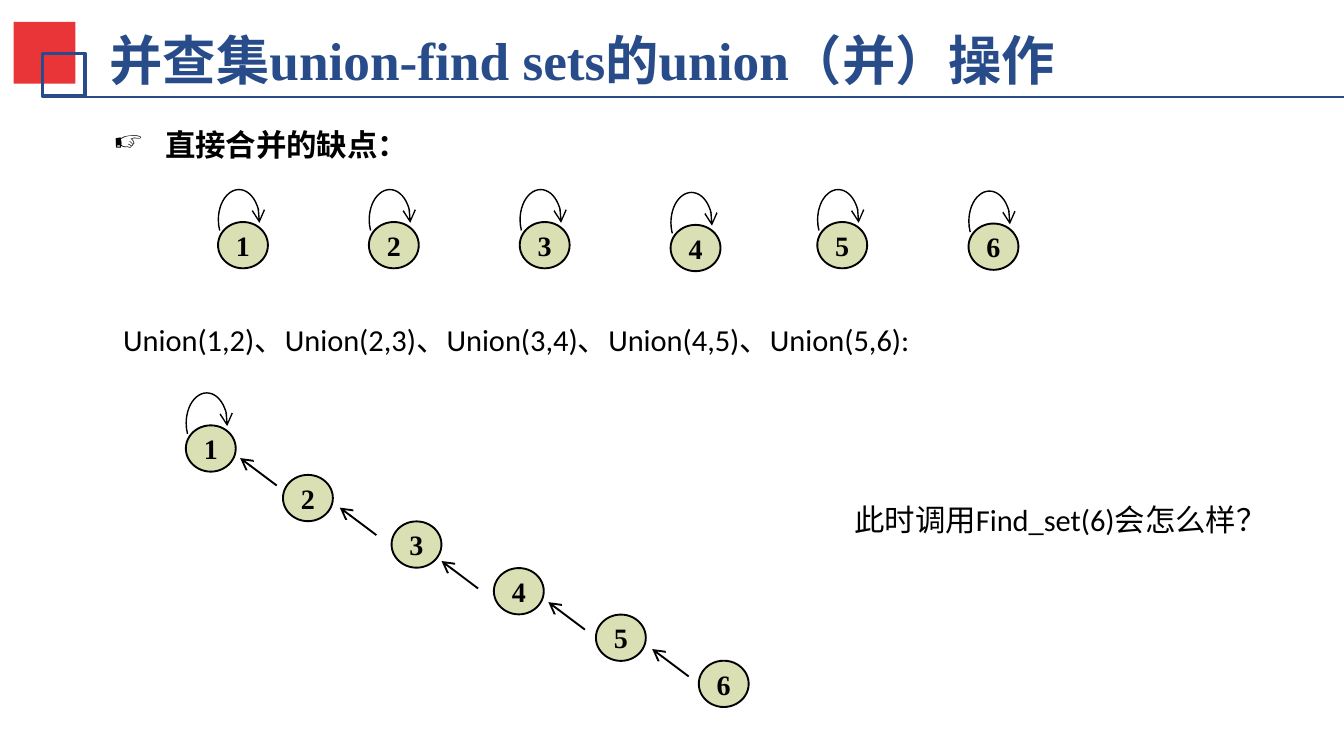
from dataclasses import dataclass

from lxml.etree import SubElement
from pptx import Presentation
from pptx.dml.color import RGBColor
from pptx.enum.shapes import MSO_CONNECTOR, MSO_SHAPE
from pptx.enum.text import MSO_ANCHOR, PP_ALIGN
from pptx.oxml.ns import qn
from pptx.util import Pt


@dataclass(frozen=True)
class Theme:
    blue: str = "284C8A"
    red: str = "E93538"
    black: str = "000000"
    node: str = "DBE0B4"
    title_size: float = 28
    body_size: float = 16
    node_size: float = 14.7
    body_font: str = "Calibri"
    serif_font: str = "Times New Roman"


THEME = Theme()
NODE_W, NODE_H = 26.2, 24.3


def add_text(tf, text, size=THEME.body_size, font=THEME.body_font,
             color=THEME.black, bold=False, align=PP_ALIGN.LEFT,
             anchor=MSO_ANCHOR.TOP, margins=(7.2, 3.6), wrap=True, bullet=None):
    tf.word_wrap = wrap
    tf.vertical_anchor = anchor
    tf.margin_left = tf.margin_right = Pt(margins[0])
    tf.margin_top = tf.margin_bottom = Pt(margins[1])
    p = tf.paragraphs[0]
    p.alignment = align
    if bullet:
        pPr = p._p.get_or_add_pPr()
        pPr.set("marL", str(Pt(27)))
        pPr.set("indent", str(Pt(-27)))
        SubElement(pPr, qn("a:buSzPct"), val="95000")
        SubElement(pPr, qn("a:buChar"), char=bullet)
    r = p.add_run()
    r.text = text
    r.font.size = Pt(size)
    r.font.name = font
    r.font.bold = bold
    r.font.color.rgb = RGBColor.from_string(color)


def add_label(s, box, text, **fmt):
    tb = s.shapes.add_textbox(*map(Pt, box))
    add_text(tb.text_frame, text, **fmt)


def add_shape(s, kind, box, fill=None, line=None, width=1):
    sp = s.shapes.add_shape(kind, *map(Pt, box))
    sp.shadow.inherit = False
    if fill:
        sp.fill.solid()
        sp.fill.fore_color.rgb = RGBColor.from_string(fill)
    else:
        sp.fill.background()
    if line:
        sp.line.color.rgb = RGBColor.from_string(line)
        sp.line.width = Pt(width)
    else:
        sp.line.fill.background()
    return sp


def add_arrowhead(sp, end):
    ln = sp.element.spPr.get_or_add_ln()
    SubElement(ln, qn(f"a:{end}"), type="arrow")


def add_line(s, x1, y1, x2, y2, color, width):
    c = s.shapes.add_connector(MSO_CONNECTOR.STRAIGHT, *map(Pt, (x1, y1, x2, y2)))
    c.line.color.rgb = RGBColor.from_string(color)
    c.line.width = Pt(width)
    SubElement(c.element.spPr, qn("a:effectLst"))
    return c


def add_node(s, x, y, number):
    sp = add_shape(s, MSO_SHAPE.OVAL, (x, y, NODE_W, NODE_H), THEME.node, THEME.black)
    add_text(sp.text_frame, str(number), size=THEME.node_size,
             font=THEME.serif_font, bold=True, align=PP_ALIGN.CENTER,
             anchor=MSO_ANCHOR.MIDDLE, margins=(0, 3.6), wrap=False)


def add_self_loop(s, x, y):
    arc = add_shape(s, MSO_SHAPE.ARC, (x + 0.2, y - 17, 21.6, 31.7),
                    line=THEME.black, width=0.75)
    arc.adjustments[0] = 90.466
    arc.adjustments[1] = 5.185
    add_arrowhead(arc, "tailEnd")


def header(s, x, y, w):
    add_label(s, (x + 52.6, y + 11.5, 556, 39.6),
              "并查集union-find sets的union（并）操作",
              size=THEME.title_size, font=THEME.serif_font, color=THEME.blue,
              bold=True, margins=(5, 2.9))
    add_shape(s, MSO_SHAPE.RECTANGLE, (x + 7.2, y + 11.5, 32.4, 32.4), THEME.red)
    add_shape(s, MSO_SHAPE.RECTANGLE, (x + 22.3, y + 28.1, 22.3, 22.3),
              line=THEME.blue, width=2)
    add_line(s, x + 27.4, y + 51, x + w, y + 51, THEME.blue, 0.75)


def separate_sets(s, x, y):
    offsets = [(0, 0), (79.2, 0), (158.4, 0), (237.6, 1.5), (314.6, 0), (394, 0.8)]
    for number, (dx, dy) in enumerate(offsets, 1):
        add_node(s, x + dx, y + dy, number)
        add_self_loop(s, x + dx, y + dy)


def merged_chain(s, x, y):
    nodes = [(0, 0), (51, 26), (108, 50.4), (161.7, 74.9), (215.3, 99.3), (269.3, 123.5)]
    arrows = [(28.5, 17.2), (80.8, 43.2), (134.2, 71.2), (190.3, 92.8), (244.8, 117.4)]
    for number, (dx, dy) in enumerate(nodes, 1):
        add_node(s, x + dx, y + dy, number)
    add_self_loop(s, x, y)
    for dx, dy in arrows:
        c = add_line(s, x + dx, y + dy, x + dx + 19.2, y + dy + 14.4, THEME.black, 1)
        add_arrowhead(c, "headEnd")


def main():
    prs = Presentation()
    prs.slide_width, prs.slide_height = Pt(705.6), Pt(396.7)
    s = prs.slides.add_slide(prs.slide_layouts[6])
    header(s, 0, 0, 705.6)
    add_label(s, (52.6, 62.6, 629.3, 33.1), "直接合并的缺点：", bold=True, bullet="☞")
    separate_sets(s, 114.5, 116.5)
    add_label(s, (57.6, 164.9, 444.2, 26.6),
              "Union(1,2)、Union(2,3)、Union(3,4)、Union(4,5)、Union(5,6):")
    merged_chain(s, 97.6, 223.2)
    add_label(s, (441.4, 259.2, 234, 26.6), "此时调用Find_set(6)会怎么样？", wrap=False)
    prs.save("out.pptx")


if __name__ == "__main__":
    main()
